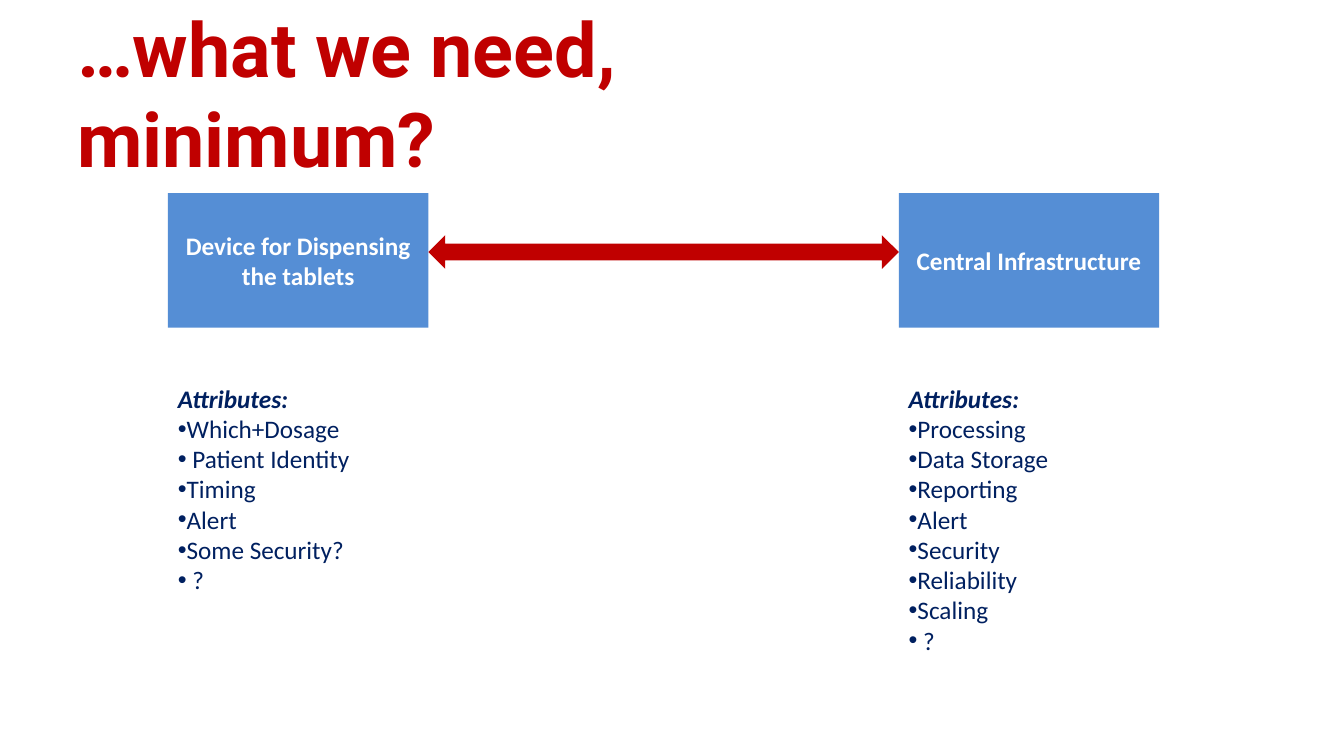
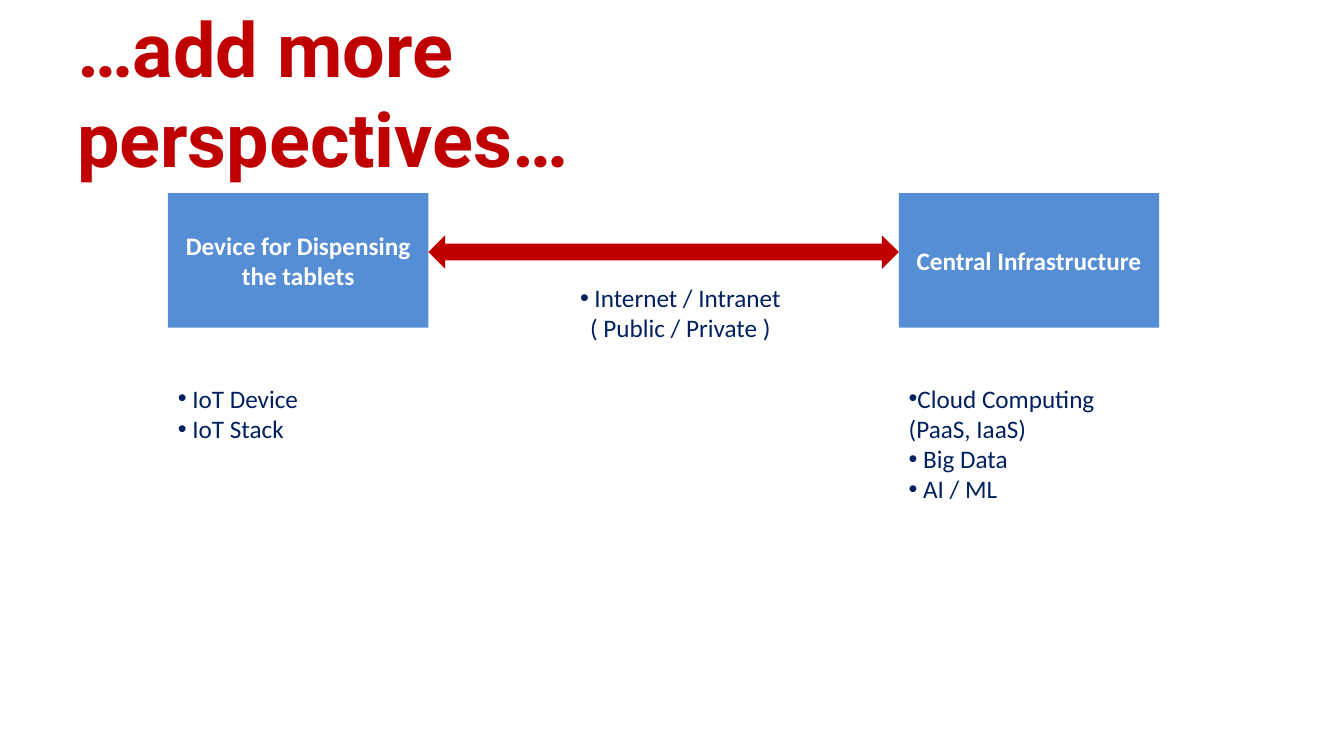
from dataclasses import dataclass

from lxml.etree import SubElement
from pptx import Presentation
from pptx.dml.color import RGBColor as Rgb
from pptx.enum.shapes import MSO_SHAPE as Shape
from pptx.enum.text import MSO_ANCHOR as Anchor, PP_ALIGN as Align
from pptx.oxml.ns import qn
from pptx.util import Inches, Pt


@dataclass(frozen=True)
class Theme:
    title_color: Rgb = Rgb(0xC0, 0x00, 0x00)
    block_color: Rgb = Rgb(0x55, 0x8E, 0xD5)
    block_text: Rgb = Rgb(0xFF, 0xFF, 0xFF)
    body_color: Rgb = Rgb(0x00, 0x20, 0x60)
    title_font: str = "Roboto"
    body_font: str = "Calibri"
    title_size: Pt = Pt(54)
    body_size: Pt = Pt(18)


theme = Theme()
BULLET = "•"

deck = Presentation()
deck.slide_width, deck.slide_height = Inches(13.34), Inches(7.5)

# Grid of 160 columns by 90 rows
column, row = deck.slide_width / 160, deck.slide_height / 90
device_left, central_left, block_width = 20, 107, 31
arrow_left = device_left + block_width


def cells(left, top, width, height):
    """Turn grid cells into a slide position and size."""
    return (round(left * column), round(top * row),
            round(width * column), round(height * row))


def write(frame, lines, color, font=theme.body_font, size=theme.body_size,
          bold=False, align=Align.LEFT):
    """Fill a frame; a line that starts with the bullet sign becomes a list item."""
    frame.word_wrap = True
    frame.text = "\n".join(line.removeprefix(BULLET) for line in lines)
    for line, paragraph in zip(lines, frame.paragraphs):
        if line.startswith(BULLET):
            properties = paragraph._p.get_or_add_pPr()
            properties.set("marL", "0")
            properties.set("indent", "0")
            SubElement(properties, qn("a:buFont"), typeface="Arial")
            SubElement(properties, qn("a:buChar"), char=BULLET)
        paragraph.alignment = align
        heading = line == "Attributes:"
        for run in paragraph.runs:
            run.font.name, run.font.size = font, size
            run.font.color.rgb = color
            run.font.bold = bold or heading
            run.font.italic = heading


# Content: title, then notes as (left, top, width, height, alignment, lines)
pages = [
    ("…what we need, minimum?", [
        (device_left, 45, block_width, 27, Align.LEFT,
         ["Attributes:", "•Which+Dosage", "• Patient Identity", "•Timing",
          "•Alert", "•Some Security?", "• ?"]),
        (central_left, 45, block_width, 35, Align.LEFT,
         ["Attributes:", "•Processing", "•Data Storage", "•Reporting", "•Alert",
          "•Security", "•Reliability", "•Scaling", "• ?"]),
    ]),
    ("…add more perspectives…", [
        (device_left, 45, block_width, 9, Align.LEFT,
         ["• IoT Device", "• IoT Stack"]),
        (central_left, 45, block_width, 17, Align.LEFT,
         ["•Cloud Computing (PaaS, IaaS)", "• Big Data", "• AI / ML"]),
        (65, 33, 32, 10, Align.CENTER,
         ["• Internet / Intranet", "( Public / Private )"]),
    ]),
]
blocks = [
    (device_left, "Device for Dispensing the tablets"),
    (central_left, "Central Infrastructure"),
]

for title, notes in pages:
    slide = deck.slides.add_slide(deck.slide_layouts[6])

    # Title
    heading_box = slide.shapes.add_textbox(*cells(8, 5, 104, 12))
    heading_box.text_frame.vertical_anchor = Anchor.MIDDLE
    write(heading_box.text_frame, [title], theme.title_color,
          theme.title_font, theme.title_size, bold=True)

    # The two parts of the system
    for left, label in blocks:
        block = slide.shapes.add_shape(
            Shape.RECTANGLE, *cells(left, 23, block_width, 16))
        block.shadow.inherit = False
        block.fill.solid()
        block.fill.fore_color.rgb = theme.block_color
        block.line.fill.background()
        block.text_frame.vertical_anchor = Anchor.MIDDLE
        write(block.text_frame, [label], theme.block_text,
              bold=True, align=Align.CENTER)

    # Link between them
    link = slide.shapes.add_shape(
        Shape.LEFT_RIGHT_ARROW,
        *cells(arrow_left, 28, central_left - arrow_left, 4))
    link.shadow.inherit = False
    link.fill.solid()
    link.fill.fore_color.rgb = theme.title_color
    link.line.fill.background()

    # Notes
    for left, top, width, height, align, lines in notes:
        note = slide.shapes.add_textbox(*cells(left, top, width, height))
        write(note.text_frame, lines, theme.body_color, align=align)

deck.save("out.pptx")
